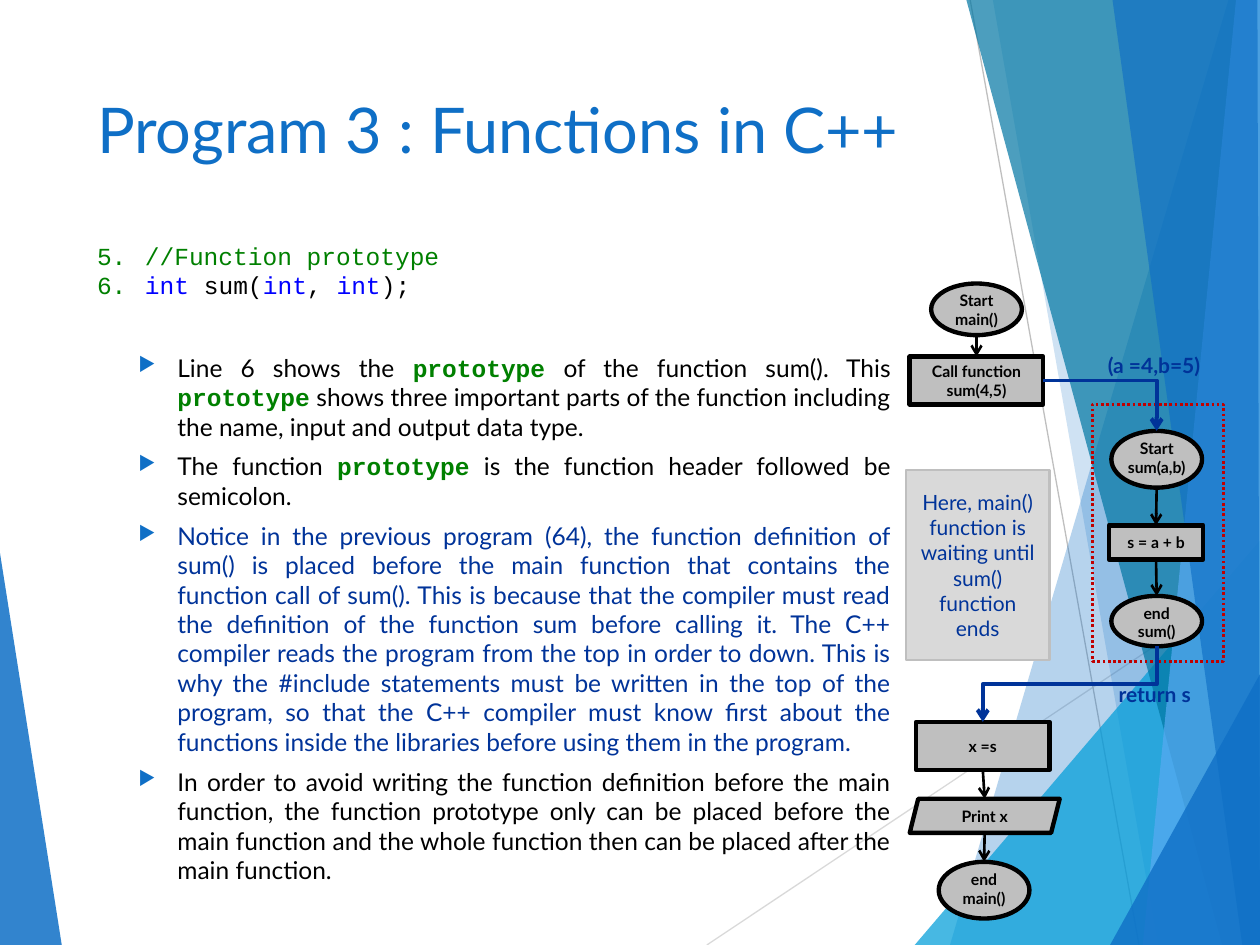
from dataclasses import dataclass

from lxml.etree import SubElement as Sub
from pptx import Presentation
from pptx.dml.color import RGBColor as RGB
from pptx.enum.dml import MSO_LINE as Dash
from pptx.enum.shapes import MSO_CONNECTOR as Wire, MSO_SHAPE as Kind
from pptx.enum.text import MSO_ANCHOR as Anchor, MSO_AUTO_SIZE as Fit, PP_ALIGN as Align
from pptx.oxml.ns import qn
from pptx.util import Inches, Pt

BLUE = RGB(0x0F, 0x6F, 0xC6)
CYAN = RGB(0x00, 0x9D, 0xD9)
TEAL = RGB(0x00, 0x76, 0xA3)
SKY = RGB(0x59, 0xAA, 0xF2)
NAVY = RGB(0x00, 0x33, 0x99)
GREEN = RGB(0x00, 0x80, 0x00)
PURE = RGB(0x00, 0x00, 0xFF)
RED = RGB(0xC0, 0x00, 0x00)
BLACK = RGB(0x00, 0x00, 0x00)
GREY = RGB(0xBF, 0xBF, 0xBF)
PALE = RGB(0xD9, 0xD9, 0xD9)
SANS, MONO = "Lato", "Courier New"


@dataclass
class Facet:
    points: list
    color: RGB
    alpha: int


@dataclass
class Node:
    text: str
    kind: Kind
    left: float
    top: float
    width: float
    height: float


FACETS = [
    Facet([(0, 4.39), (0.49, 7.5), (0, 7.5)], BLUE, 85),
    Facet([(9.75, 0), (7.54, 7.5), (10, 7.5), (10, 0)], BLUE, 30),
    Facet([(7.88, 0), (9.19, 7.5), (10, 7.5), (10, 0)], BLUE, 20),
    Facet([(7.26, 7.5), (10, 4.29), (10, 7.5)], CYAN, 72),
    Facet([(7.67, 0), (9.7, 7.5), (10, 7.5), (10, 0)], TEAL, 70),
    Facet([(9.81, 0), (9.07, 7.5), (10, 7.5), (10, 0)], SKY, 70),
    Facet([(8.83, 0), (9.86, 7.5), (10, 7.5), (9.98, 0)], BLUE, 65),
    Facet([(8.81, 7.5), (10, 5.35), (10, 7.5)], BLUE, 80),
]
NODES = {
    "start": Node("Start\nmain()", Kind.OVAL, 7.39, 2.25, 0.72, 0.41),
    "call": Node("Call function\nsum(4,5)", Kind.RECTANGLE, 7.22, 2.83, 1.06, 0.38),
    "enter": Node("Start\nsum(a,b)", Kind.OVAL, 8.82, 3.42, 0.72, 0.45),
    "add": Node("s = a + b", Kind.RECTANGLE, 8.8, 4.17, 0.75, 0.27),
    "leave": Node("end\nsum()", Kind.OVAL, 8.82, 4.73, 0.72, 0.4),
    "store": Node("x =s", Kind.RECTANGLE, 7.27, 5.73, 1.06, 0.38),
    "print": Node("Print x", Kind.PARALLELOGRAM, 7.22, 6.34, 1.19, 0.27),
    "end": Node("end\nmain()", Kind.OVAL, 7.45, 6.84, 0.72, 0.45),
}
LINKS = [("start", "call"), ("enter", "add"), ("add", "leave"),
         ("store", "print"), ("print", "end")]
CODE = [
    [("//Function prototype", GREEN)],
    [("int", PURE), (" sum(", BLACK), ("int", PURE), (", ", BLACK), ("int", PURE), (");", BLACK)],
]
# Asterisks enclose the keywords set in bold code type
NOTES = [
    ("Line 6 shows the *prototype* of the function sum(). This *prototype* shows three important "
     "parts of the function including the name, input and output data type. ", BLACK),
    ("The function *prototype* is the function header followed be semicolon.", BLACK),
    ("Notice in the previous program (64), the function definition of sum() is placed before the "
     "main function that contains the function call of sum(). This is because that the compiler "
     "must read the definition of the function sum before calling it. The C++ compiler reads the "
     "program from the top in order to down. This is why the #include statements must be written "
     "in the top of the program, so that the C++ compiler must know first about the functions "
     "inside the libraries before using them in the program.", NAVY),
    ("In order to avoid writing the function definition before the main function, the function "
     "prototype only can be placed before the main function and the whole function then can be "
     "placed after the main function.", BLACK),
]

deck = Presentation()
deck.slide_width, deck.slide_height = Inches(10), Inches(7.5)
slide = deck.slides.add_slide(deck.slide_layouts[1])
shapes = slide.shapes


def style(font, color: RGB, **values) -> None:
    for name, value in values.items():
        setattr(font, name, value)
    font.color.rgb = color


def place(shape, *box: float) -> None:
    for name, value in zip(("left", "top", "width", "height"), box):
        setattr(shape, name, Inches(value))


def write(par, text: str, color: RGB, **values) -> None:
    run = par.add_run()
    run.text = text
    style(run.font, color, **values)


def bullet(par, left: float, hang: float, color: RGB, tag: str, size: int = 100, **values) -> None:
    props = par._p.get_or_add_pPr()
    props.set("marL", str(Inches(left)))
    props.set("indent", str(-Inches(hang)))
    Sub(Sub(props, qn("a:buClr")), qn("a:srgbClr"), val=str(color))
    Sub(props, qn("a:buSzPct"), val=str(size * 1000))
    Sub(props, qn(tag), **values)


def center(frame, text: str, color: RGB, size: int, bold: bool) -> None:
    frame.text = text
    for par in frame.paragraphs:
        par.alignment = Align.CENTER
        style(par.runs[0].font, color, name=SANS, size=Pt(size), bold=bold)


def wire(kind: Wire, ends: list, color: RGB, width: float, arrow: bool = True):
    line = shapes.add_connector(kind, *(Inches(v) for v in ends))
    line.line.color.rgb, line.line.width = color, Pt(width)
    if arrow:
        Sub(line.line._get_or_add_ln(), qn("a:tailEnd"), type="arrow")
    Sub(line._element.spPr, qn("a:effectLst"))
    return line


def block(kind: Kind, box: tuple, edge: RGB, width: float, fill: RGB = None):
    shape = shapes.add_shape(kind, *(Inches(v) for v in box))
    shape.shadow.inherit = False
    if fill is None:
        shape.fill.background()
    else:
        shape.fill.solid()
        shape.fill.fore_color.rgb = fill
    shape.line.color.rgb, shape.line.width = edge, Pt(width)
    return shape


def draw_facet(facet: Facet) -> None:
    dots = [(Inches(x), Inches(y)) for x, y in facet.points]
    form = shapes.build_freeform(*dots[0])
    form.add_line_segments(dots[1:])
    shape = form.convert_to_shape()
    shape.shadow.inherit = False
    shape.fill.solid()
    shape.fill.fore_color.rgb = facet.color
    shape.line.fill.background()
    tint = shape._element.spPr.find(".//" + qn("a:srgbClr"))
    Sub(tint, qn("a:alpha"), val=str(facet.alpha * 1000))


def draw_node(node: Node):
    shape = block(node.kind, (node.left, node.top, node.width, node.height), BLACK, 2.5, GREY)
    frame = shape.text_frame
    center(frame, node.text, BLACK, 9, True)
    frame.word_wrap = False
    frame.vertical_anchor = Anchor.MIDDLE
    if node.kind == Kind.OVAL:
        frame.vertical_anchor, frame.margin_top = Anchor.TOP, 0
    return shape


def link(head: str, tail: str) -> None:
    a, b = NODES[head], NODES[tail]
    ends = [a.left + a.width / 2, a.top + a.height, b.left + b.width / 2, b.top]
    line = wire(Wire.STRAIGHT, ends, BLACK, 1.5)
    if a.kind == Kind.RECTANGLE:
        line.begin_connect(drawn[head], 2)
    if b.kind == Kind.RECTANGLE:
        line.end_connect(drawn[tail], 0)


# Background
draw_facet(FACETS[0])
wire(Wire.STRAIGHT, [5.61, 7.5, 10, 4.57], PALE, 0.75, False)
wire(Wire.STRAIGHT, [7.7, 0, 9.04, 7.5], GREY, 0.75, False)
for facet in FACETS[1:]:
    draw_facet(facet)

# Title and code list, raised above the background
title, body = shapes.title, slide.placeholders[1]
for holder, box in ((title, (0.67, 0.67, 7.33, 1.44)), (body, (0.67, 1.86, 9.25, 4.97))):
    shapes._spTree.append(holder._element)
    place(holder, *box)
    holder.text_frame.auto_size = Fit.NONE
    holder.text_frame.vertical_anchor = Anchor.TOP
head = title.text_frame.paragraphs[0]
head.alignment = Align.LEFT
write(head, "Program 3 : Functions in C++", BLUE, name=SANS, size=Pt(36))
for i, parts in enumerate(CODE):
    par = body.text_frame.add_paragraph() if i else body.text_frame.paragraphs[0]
    par.space_before = Pt(0)
    bullet(par, 0.38, 0.38, GREEN, "a:buAutoNum", type="arabicPeriod", startAt="5")
    for text, color in parts:
        write(par, text, color, name=MONO, size=Pt(14))

# Explanation
notes = shapes.add_textbox(Inches(0.5), Inches(2.75), Inches(6.67), Inches(4.42)).text_frame
notes.word_wrap = True
for i, (text, color) in enumerate(NOTES):
    par = notes.add_paragraph() if i else notes.paragraphs[0]
    par.level, par.alignment, par.space_before = 1, Align.JUSTIFY, Pt(6 if i else 0)
    bullet(par, 0.81, 0.31, BLUE, "a:buChar", 80, char="▶")
    for j, part in enumerate(text.split("*")):
        key = j % 2 == 1
        write(par, part, GREEN if key else color, name=MONO if key else SANS, size=Pt(14), bold=key)

# Flowchart
frame = block(Kind.RECTANGLE, (8.67, 3.21, 1.04, 2.04), RED, 1.5)
frame.line.dash_style = Dash.ROUND_DOT
drawn = {name: draw_node(node) for name, node in NODES.items()}
for pair in LINKS:
    link(*pair)

# Call and return paths: one bend, then two bends turned a quarter
call = wire(Wire.ELBOW, [8.28, 3.02, 9.18, 3.42], NAVY, 2.25)
call._element.spPr.find(qn("a:prstGeom")).set("prst", "bentConnector2")
back = wire(Wire.ELBOW, [8.19, 4.74, 8.79, 6.12], NAVY, 2.25)
back._element.spPr.find(qn("a:xfrm")).set("rot", str(90 * 60000))

# Waiting note and path labels
wait = block(Kind.RECTANGLE, (7.19, 3.73, 1.14, 1.51), GREY, 1.5, PALE).text_frame
center(wait, "Here, main() function is waiting until sum() function ends", NAVY, 12, False)
wait.word_wrap, wait.vertical_anchor = True, Anchor.MIDDLE
for text, box in (("return s", (8.73, 5.36, 0.87, 0.3)), ("(a =4,b=5)", (8.58, 2.75, 1.16, 0.3))):
    label = shapes.add_textbox(*(Inches(v) for v in box)).text_frame
    center(label, text, NAVY, 12, True)
    label.word_wrap = False

deck.save("out.pptx")
